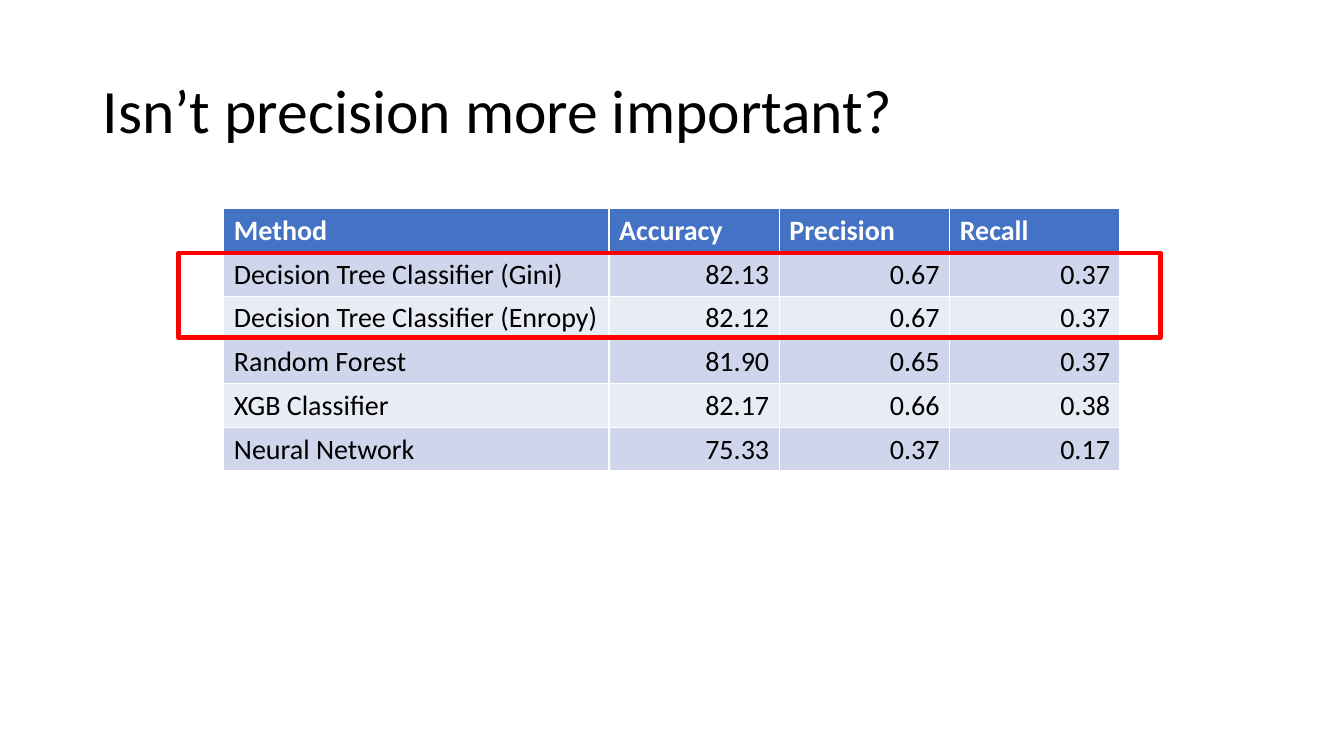
from typing import NamedTuple

from lxml import etree
from pptx import Presentation
from pptx import util as u
from pptx.dml.color import RGBColor
from pptx.enum import shapes, text
from pptx.oxml import ns

FONT = "Calibri"
WHITE, BLACK, RED = "FFFFFF", "000000", "FF0000"
HEADER_FILL = "4472C4"
BAND_FILLS = ("E9EBF5", "CFD5EA")
HEADERS = ("Method", "Accuracy", "Precision", "Recall")
COLUMN_WIDTHS = (3.82, 1.69, 1.69, 1.69)
ROW_HEIGHT = 0.41


class Result(NamedTuple):
    method: str
    accuracy: str
    precision: str
    recall: str


RESULTS = (
    Result("Decision Tree Classifier (Gini)", "82.13", "0.67", "0.37"),
    Result("Decision Tree Classifier (Enropy)", "82.12", "0.67", "0.37"),
    Result("Random Forest", "81.90", "0.65", "0.37"),
    Result("XGB Classifier", "82.17", "0.66", "0.38"),
    Result("Neural Network", "75.33", "0.37", "0.17"),
)


def color(value: str) -> RGBColor:
    return RGBColor.from_string(value)


def style_paragraph(paragraph, size: int, font_color: str, bold: bool = False) -> None:
    font = paragraph.font
    font.name = FONT
    font.size = u.Pt(size)
    font.bold = bold
    font.color.rgb = color(font_color)


def add_borders(cell, top: int, bottom: int) -> None:
    properties = cell._tc.get_or_add_tcPr()
    widths = {"a:lnL": 1, "a:lnR": 1, "a:lnT": top, "a:lnB": bottom}
    for position, (tag, width) in enumerate(widths.items()):
        line = etree.Element(ns.qn(tag), w=str(u.Pt(width)))
        fill = etree.SubElement(line, ns.qn("a:solidFill"))
        etree.SubElement(fill, ns.qn("a:srgbClr"), val=WHITE)
        properties.insert(position, line)


def fill_cell(cell, content: str, row: int, column: int) -> None:
    is_header = row == 0
    cell.text = content
    cell.fill.solid()
    cell.fill.fore_color.rgb = color(HEADER_FILL if is_header else BAND_FILLS[row % 2])
    paragraph = cell.text_frame.paragraphs[0]
    style_paragraph(paragraph, 20, WHITE if is_header else BLACK, bold=is_header)
    if not is_header and column > 0:
        paragraph.alignment = text.PP_ALIGN.RIGHT
    add_borders(cell, top=3 if row == 1 else 1, bottom=3 if is_header else 1)


def add_title(slide, content: str) -> None:
    title = slide.shapes.add_textbox(u.Inches(0.92), u.Inches(0.4), u.Inches(11.5), u.Inches(1.45))
    frame = title.text_frame
    frame.word_wrap = True
    frame.vertical_anchor = text.MSO_ANCHOR.MIDDLE
    frame.text = content
    paragraph = frame.paragraphs[0]
    paragraph.line_spacing = 0.9
    style_paragraph(paragraph, 44, BLACK)


def add_results_table(slide) -> None:
    rows = (HEADERS, *RESULTS)
    table = slide.shapes.add_table(
        len(rows), len(HEADERS), u.Inches(2.22), u.Inches(2.07),
        u.Inches(sum(COLUMN_WIDTHS)), u.Inches(ROW_HEIGHT * len(rows)),
    ).table
    for column, width in zip(table.columns, COLUMN_WIDTHS):
        column.width = u.Inches(width)
    for row, contents in enumerate(rows):
        table.rows[row].height = u.Inches(ROW_HEIGHT)
        for column, content in enumerate(contents):
            fill_cell(table.cell(row, column), content, row, column)


def add_highlight(slide) -> None:
    highlight = slide.shapes.add_shape(
        shapes.MSO_SHAPE.RECTANGLE, u.Inches(1.77), u.Inches(2.51), u.Inches(9.74), u.Inches(0.84)
    )
    highlight.shadow.inherit = False
    highlight.fill.background()
    highlight.line.color.rgb = color(RED)
    highlight.line.width = u.Pt(3)


presentation = Presentation()
presentation.slide_width = u.Inches(13.33)
presentation.slide_height = u.Inches(7.5)
slide = presentation.slides.add_slide(presentation.slide_layouts[6])
add_title(slide, "Isn’t precision more important?")
add_results_table(slide)
add_highlight(slide)
presentation.save("out.pptx")
